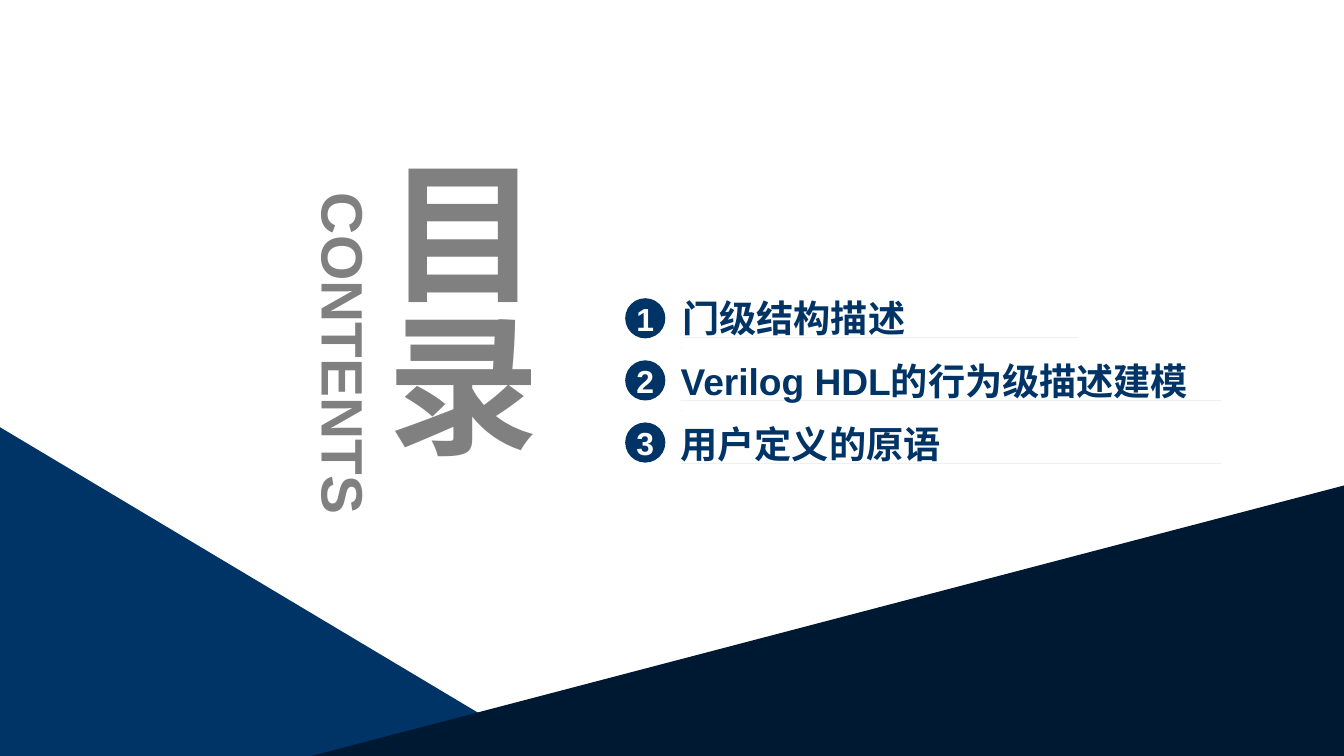
from pptx import Presentation
from pptx.dml.color import RGBColor
from pptx.enum.lang import MSO_LANGUAGE_ID
from pptx.enum.shapes import MSO_SHAPE
from pptx.enum.text import MSO_ANCHOR, MSO_AUTO_SIZE, PP_ALIGN
from pptx.util import Inches, Pt

OVAL = MSO_SHAPE.OVAL
TOP, MIDDLE = MSO_ANCHOR.TOP, MSO_ANCHOR.MIDDLE
LEFT, CENTER = PP_ALIGN.LEFT, PP_ALIGN.CENTER
FIXED, GROW = MSO_AUTO_SIZE.NONE, MSO_AUTO_SIZE.SHAPE_TO_FIT_TEXT
CHINESE = MSO_LANGUAGE_ID.SIMPLIFIED_CHINESE
COLORS = {"blue": "003366", "navy": "001933", "gray": "808080", "white": "FFFFFF"}
WIDTH, HEIGHT = 14.06, 7.91


def write(box, text, size, color, align=CENTER, anchor=MIDDLE, fit=FIXED, spacing=1.0):
    frame = box.text_frame
    settings = {"margin_left": 0, "margin_right": 0, "margin_top": 0, "margin_bottom": 0,
                "word_wrap": True, "vertical_anchor": anchor, "auto_size": fit}
    for name, value in settings.items():
        setattr(frame, name, value)
    para = frame.paragraphs[0]
    para.alignment = align
    para.line_spacing = spacing
    span = para.add_run()
    span.text = text
    formats = {"name": "Arial", "size": Pt(size), "bold": True, "language_id": CHINESE}
    for name, value in formats.items():
        setattr(span.font, name, value)
    span.font.color.rgb = RGBColor.from_string(COLORS[color])


def paint(shape, color):
    shape.shadow.inherit = False
    shape.fill.solid()
    shape.fill.fore_color.rgb = RGBColor.from_string(COLORS[color])
    shape.line.fill.background()


deck = Presentation()
deck.slide_width, deck.slide_height = Inches(WIDTH), Inches(HEIGHT)
page = deck.slides.add_slide(deck.slide_layouts[5])
shapes = page.shapes

title = shapes.title
title.left, title.top = Inches(3.82), Inches(1.63)
title.width, title.height = Inches(1.94), Inches(4.15)
write(title, "目录", 115, "gray", fit=GROW)
title.text_frame._txBody.bodyPr.set("vert", "eaVert")

subtitle = shapes.add_textbox(Inches(1.8), Inches(3.33), Inches(3.61), Inches(0.74))
subtitle.rotation = 90
write(subtitle, "CONTENTS", 44, "gray", anchor=TOP, fit=GROW)

triangles = [
    ("blue", [(0, 4.47), (5.76, HEIGHT), (0, HEIGHT)]),
    ("navy", [(WIDTH, 5.08), (WIDTH, HEIGHT), (3.26, HEIGHT)]),
]
for color, corners in triangles:
    points = [(Inches(x), Inches(y)) for x, y in corners]
    builder = shapes.build_freeform(*points[0])
    builder.add_line_segments(points[1:], close=True)
    paint(builder.convert_to_shape(), color)

topics = [
    ("门级结构描述", 7.14, 11.28),
    ("Verilog HDL的行为级描述建模", 7.12, 12.78),
    ("用户定义的原语", 7.12, 12.78),
]
for index, (topic, start, end) in enumerate(topics):
    badge = shapes.add_shape(OVAL, Inches(6.54), Inches(3.12 + 0.65 * index),
                             Inches(0.42), Inches(0.42))
    paint(badge, "blue")
    write(badge, str(index + 1), 24, "white")

    top = Inches(2.98 + 0.66 * index)
    bottom = top + Inches(0.55)
    left, right = Inches(start), Inches(end)
    builder = shapes.build_freeform(left, bottom)
    builder.add_line_segments([(right, bottom), (left, bottom)], close=True)
    builder.move_to(left, top)
    builder.add_line_segments([(left + Inches(0.01), top), (left, top)], close=True)
    underline = builder.convert_to_shape()
    paint(underline, "gray")
    write(underline, topic, 28, "blue", align=LEFT, fit=GROW, spacing=1.3)

deck.save("out.pptx")
